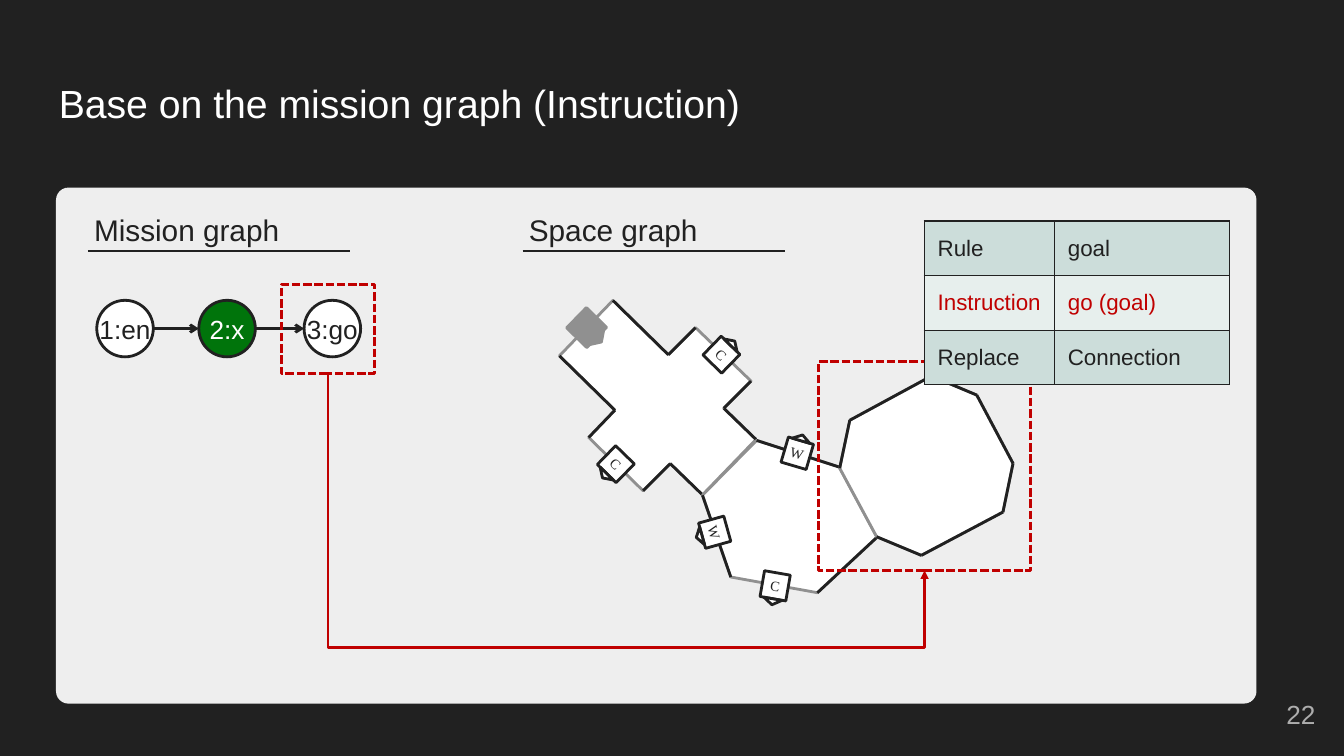
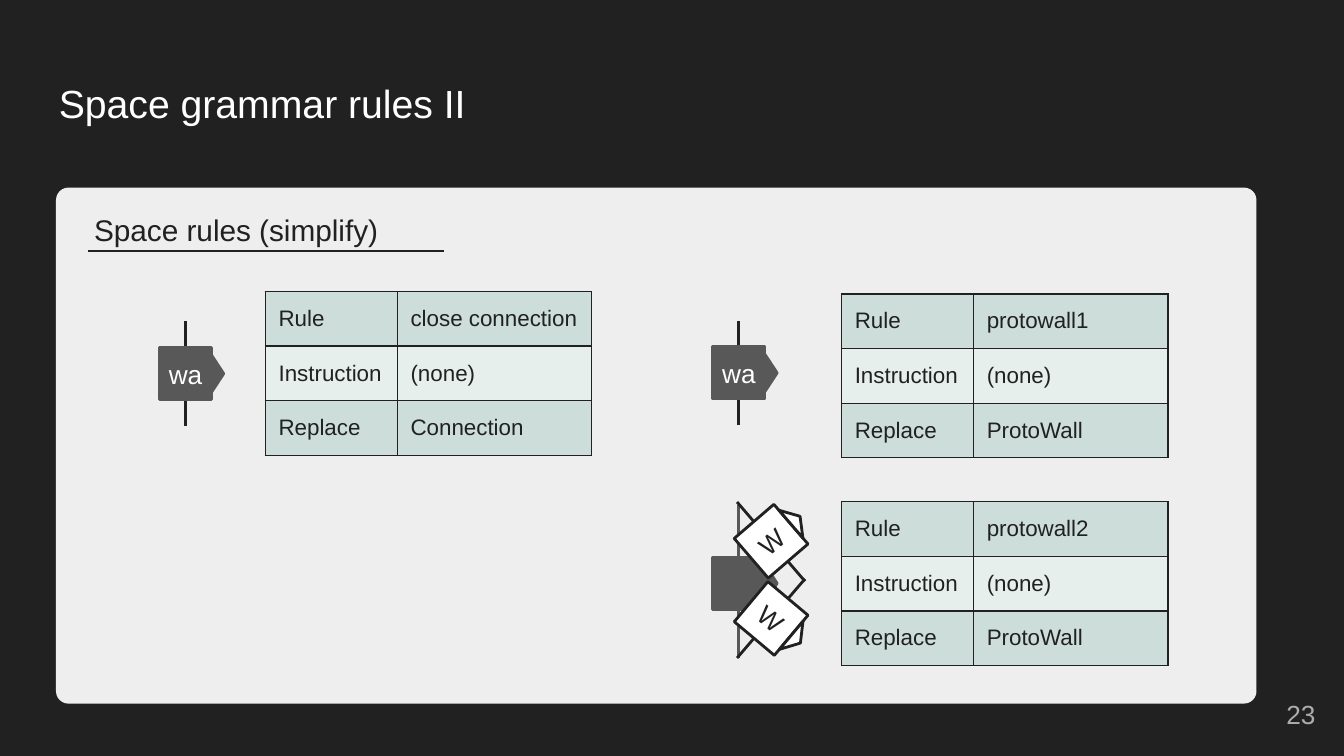
import math

from lxml import etree
from pptx import Presentation
from pptx import util as u
from pptx.dml.color import RGBColor
from pptx.enum import dml, shapes, text
from pptx.oxml.ns import qn

Pt = u.Pt
COLORS = {
    "ink": "212121", "panel": "EEEEEE", "white": "FFFFFF", "number": "ADADAD",
    "green": "00740B", "red": "C00000", "door": "909090", "wall": "585858",
    "band": "CCDDDA", "light": "E7EFED",
}
RGB = {name: RGBColor.from_string(value) for name, value in COLORS.items()}
KINDS = shapes.MSO_SHAPE
ALIGN = text.PP_ALIGN
ANCHOR = text.MSO_ANCHOR


def add_box(slide, kind, box, fill=None, line=None, words="", size=18.7, color="ink",
            font="Arial", align=ALIGN.CENTER, anchor=ANCHOR.MIDDLE, inset=0):
    """Add a preset shape, or a text box when kind is None."""
    left, top, width, height = map(Pt, box)
    if kind is None:
        shape = slide.shapes.add_textbox(left, top, width, height)
    else:
        shape = slide.shapes.add_shape(kind, left, top, width, height)
        shape.shadow.inherit = False
        for paint, name in ((shape.fill, fill), (shape.line.fill, line)):
            if name:
                paint.solid()
                paint.fore_color.rgb = RGB[name]
            else:
                paint.background()
        if line:
            shape.line.width = Pt(2)
    if words:
        frame = shape.text_frame
        frame.word_wrap = kind is None
        frame.vertical_anchor = anchor
        frame.margin_left = frame.margin_right = Pt(inset)
        frame.margin_top = frame.margin_bottom = Pt(inset)
        paragraph = frame.paragraphs[0]
        paragraph.text = words
        paragraph.alignment = align
        paragraph.font.size = Pt(size)
        paragraph.font.name = font
        paragraph.font.color.rgb = RGB[color]
    return shape


def add_line(slide, start, end, color="ink", width=2, head=None,
             kind=shapes.MSO_CONNECTOR.STRAIGHT):
    """Add a connector, with an optional arrowhead at its end."""
    line = slide.shapes.add_connector(kind, *map(Pt, (*start, *end)))
    line.line.color.rgb = RGB[color]
    line.line.width = Pt(width)
    if head:
        etree.SubElement(line.line._get_or_add_ln(), qn("a:tailEnd"), type=head)
    etree.SubElement(line._element.spPr, qn("a:effectLst"))
    return line


presentation = Presentation()
presentation.slide_width, presentation.slide_height = Pt(960), Pt(540)

# Shared frame: background, panel, page number, title
slides = []
for number, title in ((22, "Base on the mission graph (Instruction)"),
                      (23, "Space grammar rules II")):
    slide = presentation.slides.add_slide(presentation.slide_layouts[6])
    slide.background.fill.solid()
    slide.background.fill.fore_color.rgb = RGB["ink"]
    panel = add_box(slide, KINDS.ROUNDED_RECTANGLE, (40, 134, 857.5, 368.6), "panel")
    panel.adjustments[0] = 0.024
    add_box(slide, None, (889.2, 489.6, 57.6, 41), words=str(number), color="number",
            align=ALIGN.RIGHT, inset=7.2)
    add_box(slide, None, (32.4, 46.8, 894, 60.5), words=title, size=28, color="white",
            align=ALIGN.LEFT, anchor=ANCHOR.TOP, inset=9.6)
    slides.append(slide)
mission, rules = slides

# Section headings with a rule below
for slide, left, length, heading in (
        (mission, 57.6, 187.2, "Mission graph"),
        (mission, 368.2, 187.2, "Space graph"),
        (rules, 57.6, 254.2, "Space rules (simplify)")):
    add_box(slide, None, (left, 141.1, length + 10, 46), words=heading, size=21.3,
            align=ALIGN.LEFT, inset=9.6)
    add_line(slide, (left + 5.2, 179.1), (left + 5.2 + length, 179.1), width=1.25)

# Mission graph: nodes joined by arrows
DIAMETER, NODE_TOP = 40.4, 214.5
previous_right = None
for left, label, fill, color in ((69.1, "1:en", "white", "ink"),
                                 (142, "2:x", "green", "white"),
                                 (217.2, "3:go", "white", "ink")):
    add_box(mission, KINDS.OVAL, (left, NODE_TOP, DIAMETER, DIAMETER), fill, "ink",
            label, color=color)
    if previous_right:
        middle = NODE_TOP + DIAMETER / 2
        add_line(mission, (previous_right, middle), (left, middle), head="arrow")
    previous_right = left + DIAMETER

# Space graph: rooms as (corners, indices of the sides that are doors)
rooms = (
    (((496.8, 234), (536.4, 272.2), (517, 291.6), (540, 313.9), (501.8, 353.5),
      (478.8, 331.2), (459.4, 350.6), (420.5, 312.5), (439.2, 293), (399.6, 254.2),
      (437.8, 214.6), (477.4, 253.4)), (0, 3, 6, 9)),
    (((599.4, 333.6), (626.4, 383.8), (583.9, 423.4), (522, 412.2), (501.8, 353.8),
      (540.5, 314.6)), (0, 2, 4)),
    (((607, 300.2), (665.3, 268.6), (697.7, 282.2), (723.6, 331), (716.4, 365.8),
      (658.1, 396.7), (626.2, 383.4), (599.8, 334.4)), (6,)),
)
for corners, doors in rooms:
    points = [(Pt(x), Pt(y)) for x, y in corners]
    builder = mission.shapes.build_freeform(*points[0])
    builder.add_line_segments(points[1:], close=True)
    room = builder.convert_to_shape()
    room.shadow.inherit = False
    room.fill.solid()
    room.fill.fore_color.rgb = RGB["white"]
    room.line.color.rgb = RGB["door"]
    room.line.width = Pt(2)
    for side, corner in enumerate(corners):
        if side not in doors:
            add_line(mission, corner, corners[(side + 1) % len(corners)])

# Walls of the space rules
for start, end, color in (((132.5, 229.5), (132.5, 304), "ink"),
                          ((527.8, 229.2), (527.8, 303.5), "ink"),
                          ((527.8, 360.5), (527.8, 470), "wall"),
                          ((526.5, 358.6), (575, 415.2), "ink"),
                          ((575, 413.5), (526.5, 470), "ink")):
    add_line(rules, start, end, color)

# Markers: a turned square with a triangle on the side that faces out
SMALL = (18.7, 10.1, "Times New Roman")
LARGE = (37.4, 18.7, "Arial")
OPEN = ("white", "ink", "ink")
DOOR = ("door", "door", "white")
WALL = ("wall", "wall", "white")
for slide, x, y, turn, facing, label, (side, size, font), (fill, line, color) in (
        (mission, 419, 234, 44.3, 90, "", (20.2, 10.1, "Arial"), DOOR),
        (mission, 515.3, 253.4, 44.3, 0, "C", SMALL, OPEN),
        (mission, 439.9, 331.6, 44.3, 180, "C", SMALL, OPEN),
        (mission, 553.7, 418.5, 9.9, 180, "C", SMALL, OPEN),
        (mission, 510.5, 380.2, 74.4, 180, "W", SMALL, OPEN),
        (mission, 569.5, 323.8, 16.4, 0, "W", SMALL, OPEN),
        (rules, 132.5, 266.9, 0, 90, "wa", LARGE, WALL),
        (rules, 527.8, 266.4, 0, 90, "wa", LARGE, WALL),
        (rules, 527.8, 416.7, 0, 90, "", LARGE, WALL),
        (rules, 550.8, 386.6, 319.3, 90, "W", LARGE, OPEN),
        (rules, 550.8, 441.8, 40, 90, "W", LARGE, OPEN)):
    square = add_box(slide, KINDS.RECTANGLE, (x - side / 2, y - side / 2, side, side),
                     fill, line, label, size, color, font)
    square.rotation = turn
    direction = turn + facing
    base, height = 0.7 * side, 0.23 * side
    reach = (side + height) / 2
    tip_x = x + reach * math.sin(math.radians(direction))
    tip_y = y - reach * math.cos(math.radians(direction))
    tip = add_box(slide, KINDS.ISOSCELES_TRIANGLE,
                  (tip_x - base / 2, tip_y - height / 2, base, height), fill, line)
    tip.rotation = direction % 360

# Dashed frames and the elbow arrow that joins them
for frame in ((200.9, 203.2, 66.5, 63.8), (584.6, 258.3, 151.7, 149)):
    dashed = add_box(mission, KINDS.RECTANGLE, frame, line="red")
    dashed.line.dash_style = dml.MSO_LINE.SQUARE_DOT
elbow = add_line(mission, (517.5, 124.2), (377.1, 550.4), "red", head="triangle",
                 kind=shapes.MSO_CONNECTOR.ELBOW)
properties = elbow._element.spPr
properties.find(qn("a:xfrm")).set("rot", str(270 * 60000))
adjustments = properties.find(qn("a:prstGeom")).find(qn("a:avLst"))
etree.SubElement(adjustments, qn("a:gd"), name="adj1", fmla="val 139000")

# Rule tables
ROW_HEIGHT = 39
for slide, left, top, widths, values, instruction_color in (
        (mission, 660.2, 157.9, (93, 125), ("goal", "go (goal)", "Connection"), "red"),
        (rules, 189.4, 208.2, (94.3, 139), ("close connection", "(none)", "Connection"), "ink"),
        (rules, 601, 210, (94.3, 139), ("protowall1", "(none)", "ProtoWall"), "ink"),
        (rules, 601, 358.4, (94.3, 139), ("protowall2", "(none)", "ProtoWall"), "ink")):
    table = slide.shapes.add_table(3, 2, Pt(left), Pt(top), Pt(sum(widths)),
                                   Pt(3 * ROW_HEIGHT)).table
    table.first_row = table.horz_banding = False
    for column, width in zip(table.columns, widths):
        column.width = Pt(width)
    for row, record in enumerate(zip(("Rule", "Instruction", "Replace"), values)):
        table.rows[row].height = Pt(ROW_HEIGHT)
        for column, words in enumerate(record):
            cell = table.cell(row, column)
            cell.fill.solid()
            cell.fill.fore_color.rgb = RGB["light" if row == 1 else "band"]
            cell.vertical_anchor = ANCHOR.MIDDLE
            cell.margin_left = cell.margin_right = Pt(9.6)
            cell.margin_top = cell.margin_bottom = Pt(4.8)
            paragraph = cell.text_frame.paragraphs[0]
            paragraph.text = words
            paragraph.font.size = Pt(16)
            paragraph.font.name = "Arial"
            paragraph.font.color.rgb = RGB[instruction_color if row == 1 else "ink"]
            # Borders come before the fill
            cell_properties = cell._tc.get_or_add_tcPr()
            for position, edge in enumerate(("lnL", "lnR", "lnT", "lnB")):
                border = etree.Element(qn("a:" + edge), w=str(Pt(1)))
                solid = etree.SubElement(border, qn("a:solidFill"))
                etree.SubElement(solid, qn("a:srgbClr"), val=COLORS["ink"])
                cell_properties.insert(position, border)

presentation.save("out.pptx")
